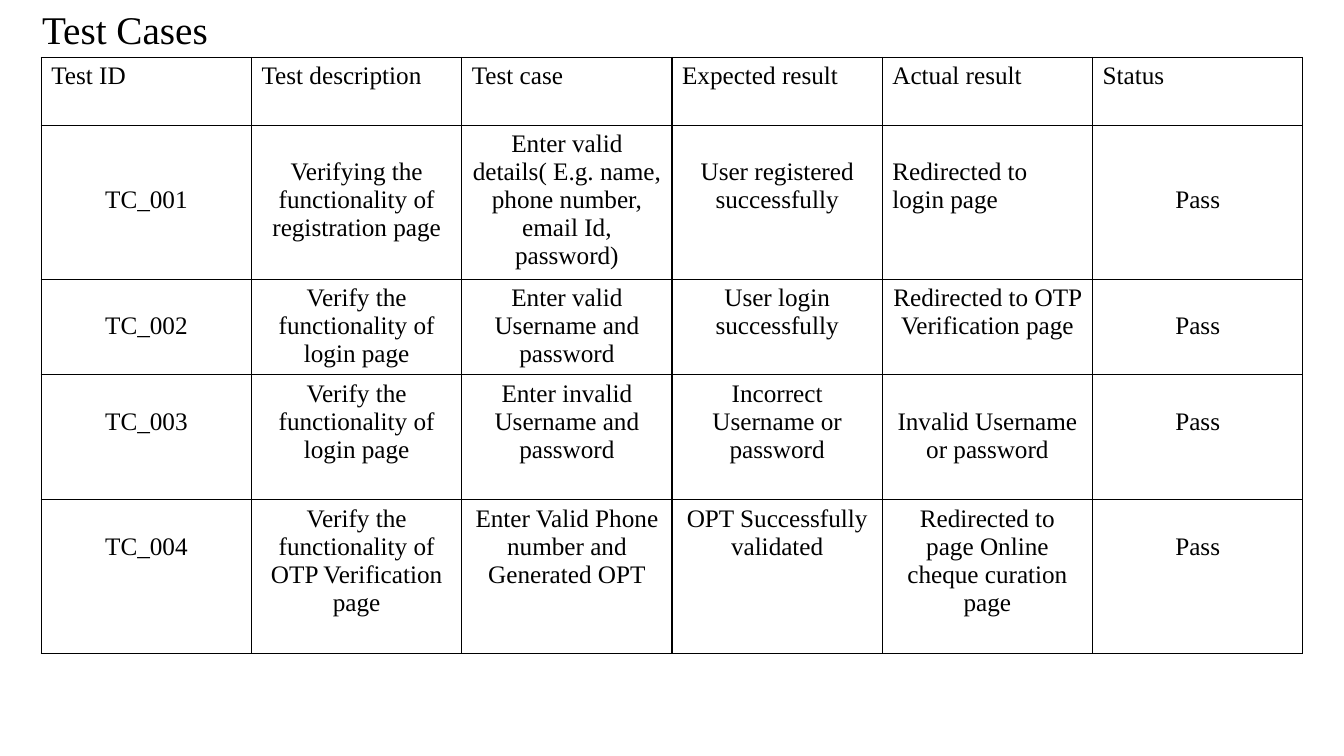
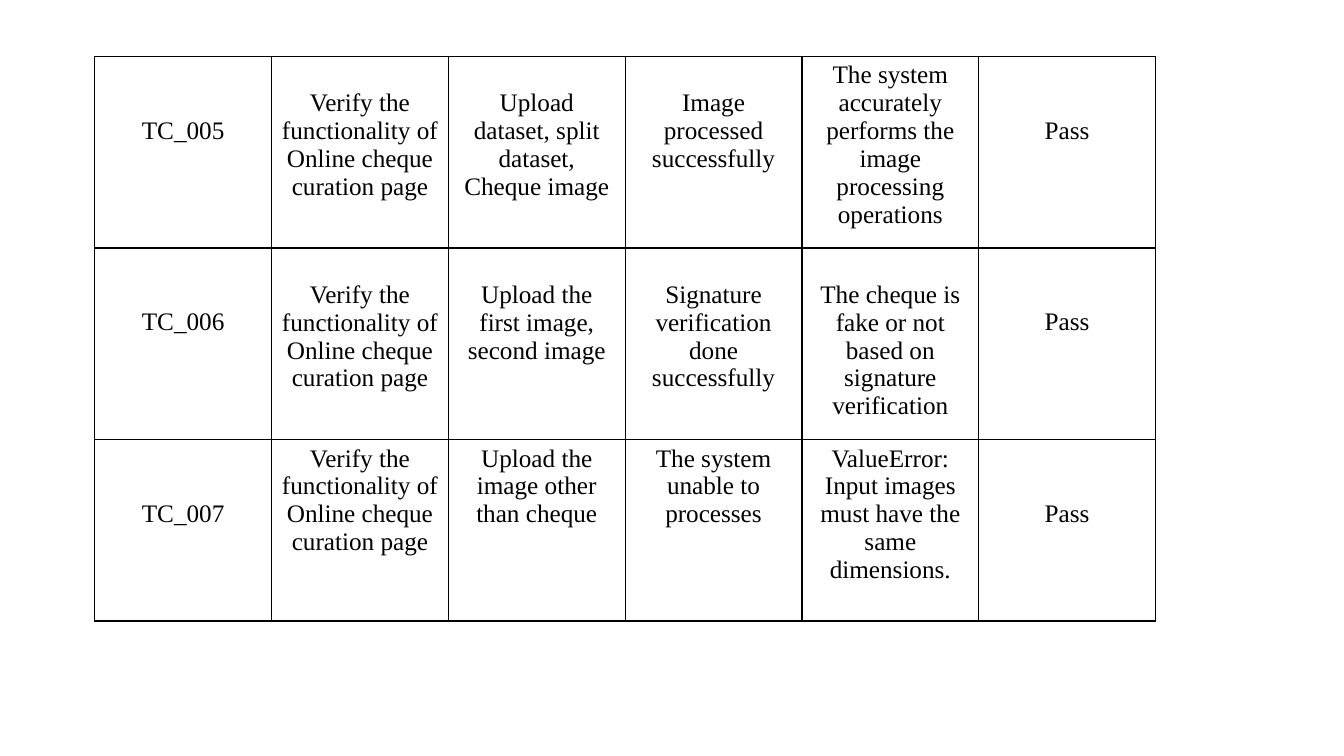
from dataclasses import dataclass

from lxml.etree import SubElement
from pptx import Presentation
from pptx.dml.color import RGBColor
from pptx.enum.text import MSO_ANCHOR, MSO_AUTO_SIZE, PP_ALIGN
from pptx.oxml.ns import qn
from pptx.util import Pt


@dataclass(frozen=True)
class Theme:
    font: str = "Times New Roman"
    ink: str = "000000"
    title_size: float = 28
    body_size: float = 18
    line_height: float = 19.8
    border_width: float = 1
    cell_margin: float = 3.6


@dataclass(frozen=True)
class Row:
    """One table row; drops gives the lines each cell starts below the top."""
    height: float
    texts: tuple
    drops: tuple = (0,) * 6
    left_columns: tuple = ()


class Deck:
    def __init__(self, theme):
        self.theme = theme
        self.presentation = Presentation()
        self.presentation.slide_width = Pt(960)
        self.presentation.slide_height = Pt(540)
        self.slide = None

    def add_slide(self):
        self.slide = self.presentation.slides.add_slide(
            self.presentation.slide_layouts[6])

    def add_text(self, paragraph, text, size, alignment=PP_ALIGN.LEFT):
        paragraph.alignment = alignment
        for index, line in enumerate(text.split("\n")):
            if index:
                paragraph.add_line_break()
            run = paragraph.add_run()
            run.text = line
            run.font.name = self.theme.font
            run.font.size = Pt(size)
            run.font.color.rgb = RGBColor.from_string(self.theme.ink)

    def title(self, text, left, top, width, height):
        shape = self.slide.shapes.add_textbox(
            Pt(left), Pt(top), Pt(width), Pt(height))
        frame = shape.text_frame
        frame.word_wrap = True
        frame.auto_size = MSO_AUTO_SIZE.SHAPE_TO_FIT_TEXT
        self.add_text(frame.paragraphs[0], text, self.theme.title_size)

    def outline(self, cell):
        properties = cell._tc.get_or_add_tcPr()
        for side in ("a:lnL", "a:lnR", "a:lnT", "a:lnB"):
            line = SubElement(properties, qn(side),
                              w=str(Pt(self.theme.border_width)))
            fill = SubElement(line, qn("a:solidFill"))
            SubElement(fill, qn("a:srgbClr"), val=self.theme.ink)

    def table(self, rows, left, top, column_width):
        columns = len(rows[0].texts)
        table = self.slide.shapes.add_table(
            len(rows), columns, Pt(left), Pt(top), Pt(column_width * columns),
            Pt(sum(row.height for row in rows))).table
        table.first_row = table.horz_banding = False
        for column in table.columns:
            column.width = Pt(column_width)
        for row_index, row in enumerate(rows):
            table.rows[row_index].height = Pt(row.height)
            for column_index, (text, drop) in enumerate(zip(row.texts, row.drops)):
                cell = table.cell(row_index, column_index)
                self.outline(cell)
                cell.fill.background()
                cell.vertical_anchor = MSO_ANCHOR.TOP
                cell.margin_top = Pt(self.theme.cell_margin
                                     + drop * self.theme.line_height)
                is_left = column_index in row.left_columns
                self.add_text(cell.text_frame.paragraphs[0], text,
                              self.theme.body_size,
                              PP_ALIGN.LEFT if is_left else PP_ALIGN.CENTER)


LOGIN = "Verify the functionality of login page"
CURATION = "Verify the functionality of Online cheque curation page"

ACCOUNT_TESTS = [
    Row(48.4, ("Test ID", "Test description", "Test case", "Expected result",
               "Actual result", "Status"), left_columns=tuple(range(6))),
    Row(110, ("TC_001", "Verifying the functionality of registration page",
              "Enter valid details( E.g. name, phone number, email Id, password)",
              "User registered successfully", "Redirected to login page",
              "Pass"), (2, 1, 0, 1, 1, 2), left_columns=(4,)),
    Row(68.4, ("TC_002", LOGIN, "Enter valid Username and password",
               "User login successfully",
               "Redirected to OTP Verification page", "Pass"),
        (1, 0, 0, 0, 0, 1)),
    Row(89.3, ("TC_003", LOGIN, "Enter invalid Username and password",
               "Incorrect Username or password",
               "Invalid Username or password", "Pass"),
        (1, 0, 0, 0, 1, 1)),
    Row(110, ("TC_004", "Verify the functionality of OTP Verification page",
              "Enter Valid Phone number and Generated OPT",
              "OPT Successfully validated",
              "Redirected to\npage Online cheque curation page", "Pass"),
        (1, 0, 0, 0, 0, 1)),
]

CHEQUE_TESTS = [
    Row(136.8, ("TC_005", CURATION, "Upload dataset, split dataset, Cheque image",
                "Image processed successfully",
                "The system accurately performs the image processing operations",
                "Pass"), (2, 1, 1, 1, 0, 2)),
    Row(136.8, ("TC_006", CURATION, "Upload the first image, second image",
                "Signature verification done successfully",
                "The cheque is fake or not based on signature verification",
                "Pass"), (2, 1, 1, 1, 1, 2)),
    Row(129.6, ("TC_007", CURATION, "Upload the image other than cheque",
                "The system unable to processes",
                "ValueError: Input images must have the same dimensions.",
                "Pass"), (2, 0, 0, 0, 0, 2)),
]


def main():
    deck = Deck(Theme())

    # Account and login tests
    deck.add_slide()
    deck.table(ACCOUNT_TESTS, left=29.5, top=41, column_width=150.2)
    deck.title("Test Cases", left=23, top=0, width=490, height=41)

    # Cheque image tests
    deck.add_slide()
    deck.table(CHEQUE_TESTS, left=67.7, top=40.3, column_width=126.3)

    deck.presentation.save("out.pptx")


if __name__ == "__main__":
    main()
